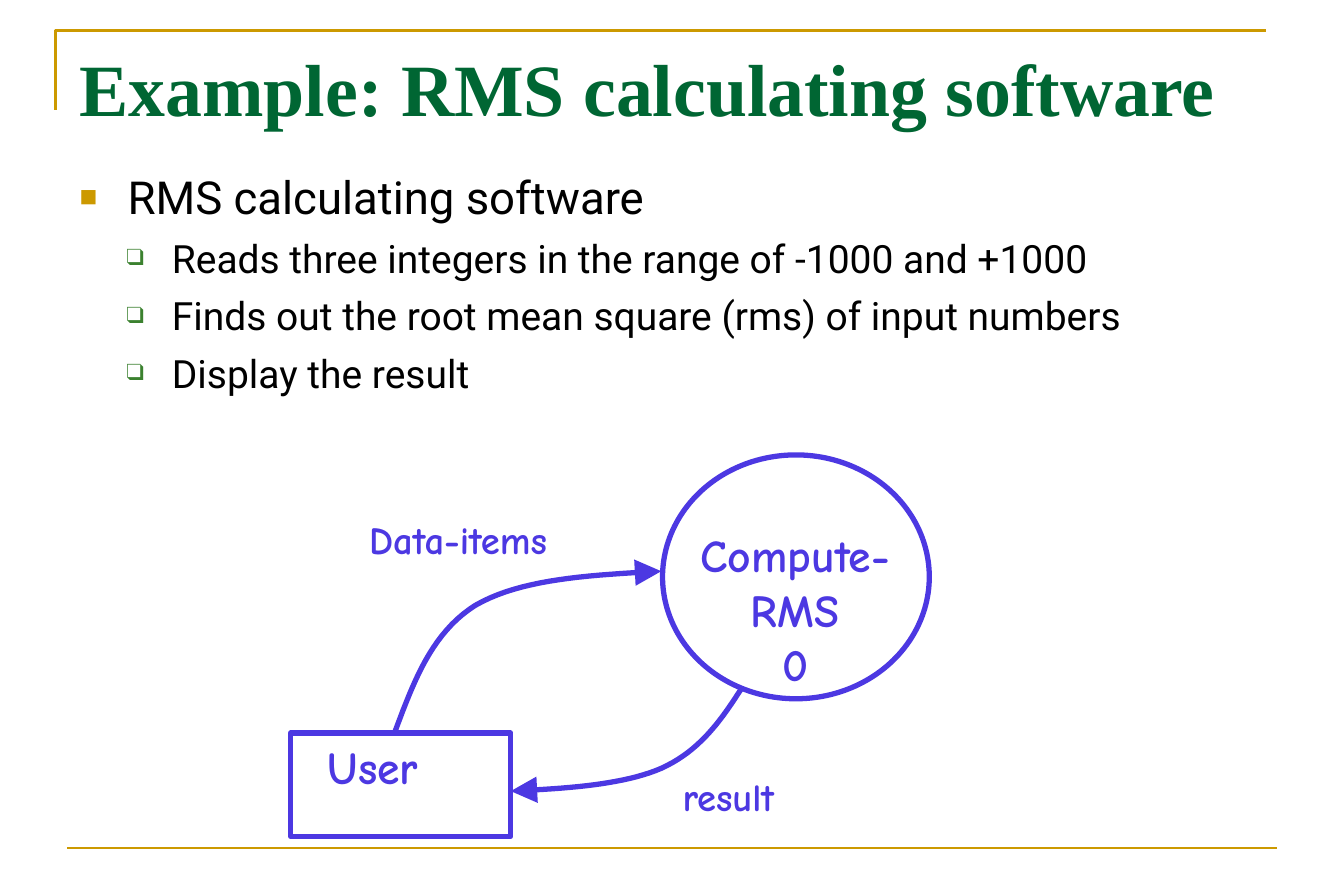
"""Build the RMS software slide with its context diagram."""
import pptx
import pptx.dml.color
import pptx.enum.shapes
import pptx.enum.text
import pptx.oxml
import pptx.oxml.ns
import pptx.util

Inches, Pt = pptx.util.Inches, pptx.util.Pt
Shape = pptx.enum.shapes.MSO_SHAPE
Align = pptx.enum.text.PP_ALIGN

TITLE = "Example: RMS calculating software"
POINTS = [
    (0, "RMS calculating software"),
    (1, "Reads three integers in the range of -1000 and +1000"),
    (1, "Finds out the root mean square (rms) of input numbers"),
    (1, "Display the result"),
]
NODES = [
    (Shape.OVAL, (5.24, 3.6, 2.11, 1.93)),
    (Shape.RECTANGLE, (2.3, 5.8, 1.74, 0.82)),
]
FLOWS = [
    [(3.12, 5.8), (3.27, 5.4), (3.41, 5.01), (3.76, 4.79),
     (4.12, 4.58), (4.67, 4.55), (5.23, 4.52)],
    [(5.87, 5.44), (5.71, 5.69), (5.54, 5.94), (5.23, 6.08),
     (4.93, 6.21), (4.48, 6.24), (4.04, 6.26)],
]
LABELS = [
    ("Compute- RMS\n0", (5.42, 4.11, 1.74, 1.43), "node", Align.CENTER, 1),
    ("User", (2.57, 5.9, 1.65, 0.55), "node", Align.LEFT, 0.72),
    ("Data-items", (2.9, 4.12, 1.78, 0.84), "flow", Align.LEFT, 0.72),
    ("result", (5.38, 6.15, 1.1, 0.47), "flow", Align.LEFT, 0.72),
]
CORNER = [(0.44, 0.87), (0.44, 0.24), (10.01, 0.24)]
BASE = (0.53, 6.71, 10.1, 6.71)
THEME = {
    "gold": "CC9900", "title": "006633", "text": "000000", "ink": "4C38E2",
    "rule": 1.5, "pen": 3, "mark": "Times New Roman",
    "fonts": {
        "title": ("Times New Roman", 42, True), "node": ("Comic Neue", 26, True),
        "flow": ("Comic Neue", 22, True), 0: ("Roboto", 25.9, False),
        1: ("Roboto", 22.2, False),
    },
    "bullets": [("■", "CC9900", 65, 0.38, 0.38), ("❑", "3B812F", 60, 0.73, 0.36)],
}


def color(name):
    return pptx.dml.color.RGBColor.from_string(THEME[name])


def style(para, kind, tint):
    face, size, bold = THEME["fonts"][kind]
    for run in para.runs:
        font = run.font
        font.name, font.size, font.bold = face, Pt(size), bold
        font.color.rgb = color(tint)


def add_mark(parent, tag, **attrs):
    item = pptx.oxml.parse_xml(f"<a:{tag} {pptx.oxml.ns.nsdecls('a')}/>")
    for key, value in attrs.items():
        item.set(key, str(value))
    parent.append(item)
    return item


def draw(shape, tint, width):
    shape.shadow.inherit = False
    shape.fill.background()
    shape.line.color.rgb = color(tint)
    shape.line.width = Pt(width)


def trace(shapes, points, tint, width):
    spots = [(Inches(x), Inches(y)) for x, y in points]
    pen = shapes.build_freeform(*spots[0])
    pen.add_line_segments(spots[1:], close=False)
    shape = pen.convert_to_shape()
    draw(shape, tint, width)
    return shape


def curve(knots, steps=20):
    points = [knots[0]]
    for start in range(0, len(knots) - 1, 3):
        a, b, c, d = knots[start:start + 4]
        for step in range(1, steps + 1):
            t = step / steps
            u = 1 - t
            points.append(tuple(
                u**3 * a[i] + 3 * u * u * t * b[i] + 3 * u * t * t * c[i] + t**3 * d[i]
                for i in (0, 1)))
    return points


def place(shape, box):
    shape.left, shape.top, shape.width, shape.height = map(Inches, box)
    frame = shape.text_frame
    frame.word_wrap = True
    frame.auto_size = pptx.enum.text.MSO_AUTO_SIZE.NONE
    frame.vertical_anchor = pptx.enum.text.MSO_ANCHOR.TOP
    return frame


def add_title(shape):
    frame = place(shape, (0.53, 0.29, 9.57, 0.67))
    frame.margin_top, frame.margin_bottom = Inches(0.05), 0
    frame.text = TITLE
    para = frame.paragraphs[0]
    para.alignment = Align.LEFT
    style(para, "title", "title")


def add_list(shape):
    frame = place(shape, (0.53, 1.29, 9.57, 2))
    frame.text = "\n".join(text for _, text in POINTS)
    for row, (para, (level, _)) in enumerate(zip(frame.paragraphs, POINTS)):
        sign, tint, size, left, hang = THEME["bullets"][level]
        para.level = level
        props = para._p.get_or_add_pPr()
        props.set("marL", str(Inches(left)))
        props.set("indent", str(-Inches(hang)))
        add_mark(add_mark(props, "buClr"), "srgbClr", val=tint)
        add_mark(props, "buSzPct", val=size * 1000)
        add_mark(props, "buFont", typeface=THEME["mark"])
        add_mark(props, "buChar", char=sign)
        para.space_before = Pt(6 if row else 0)
        style(para, level, "text")


def add_label(shapes, text, box, kind, align, space):
    frame = place(shapes.add_textbox(*map(Inches, box)), box)
    frame.margin_left = frame.margin_right = Inches(0.02)
    frame.margin_top = frame.margin_bottom = Inches(0.06)
    para = frame.paragraphs[0]
    para.text = text
    para.alignment, para.line_spacing = align, float(space)
    style(para, kind, "ink")


def main():
    deck = pptx.Presentation()
    deck.slide_width, deck.slide_height = Inches(10.63), Inches(7.09)
    slide = deck.slides.add_slide(deck.slide_layouts[1])
    shapes = slide.shapes
    add_title(shapes.title)
    add_list(slide.placeholders[1])

    trace(shapes, CORNER, "gold", THEME["rule"])
    base = shapes.add_connector(
        pptx.enum.shapes.MSO_CONNECTOR.STRAIGHT, *map(Inches, BASE))
    base.line.color.rgb, base.line.width = color("gold"), Pt(THEME["rule"])
    add_mark(base._element.spPr, "effectLst")

    for kind, box in NODES:
        draw(shapes.add_shape(kind, *map(Inches, box)), "ink", THEME["pen"])
    for knots in FLOWS:
        flow = trace(shapes, curve(knots), "ink", THEME["pen"])
        add_mark(flow.line._get_or_add_ln(), "tailEnd",
                 type="triangle", w="lg", len="lg")
    for label in LABELS:
        add_label(shapes, *label)
    deck.save("out.pptx")


if __name__ == "__main__":
    main()
